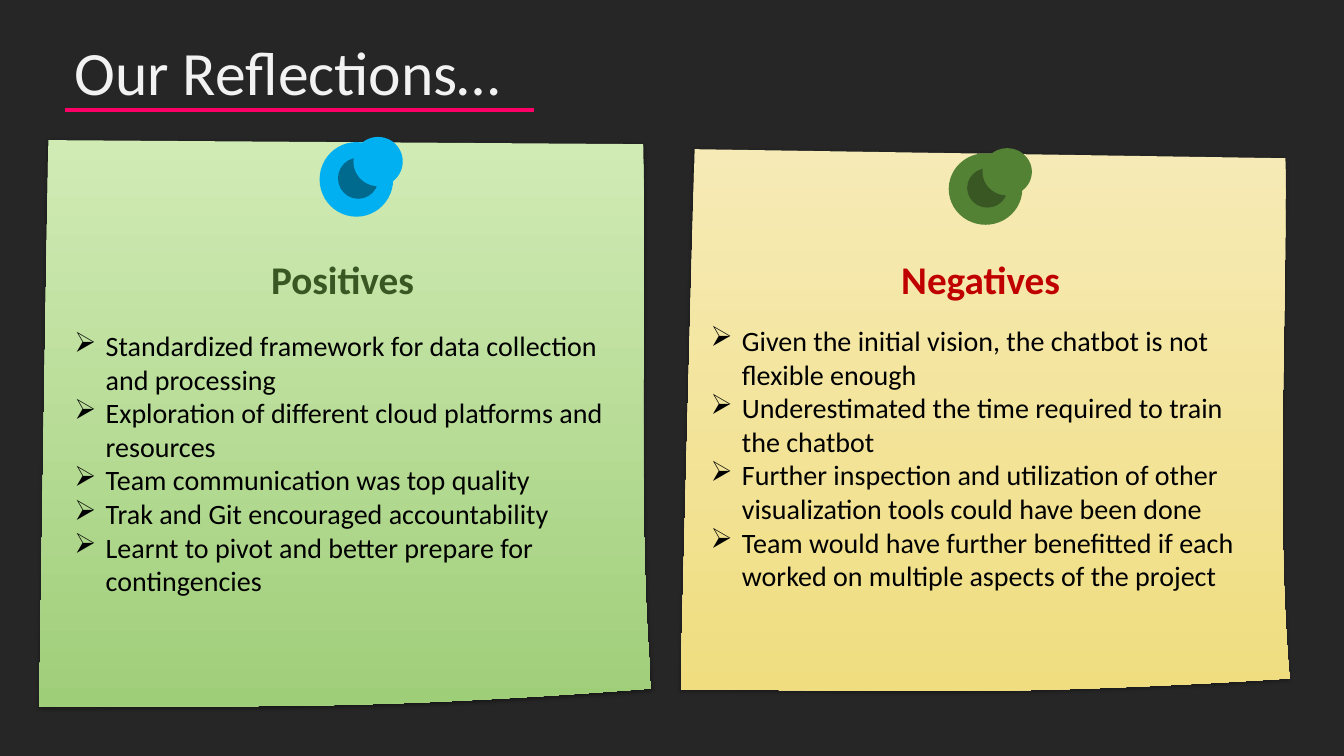
import pptx
import pptx.util
import pptx.dml.color
import pptx.enum.shapes
from lxml import etree
from pptx.util import Inches, Pt

# Content
TITLE = ("Our Reflections…", (0.64, 0.29, 4.47, 0.84))
RULE = (0.64, 5.3, 1.09)  # from x, to x, y

# Each outline is a start point, then a line (one point) or a curve (three points)
NOTES = [
    dict(
        heading="Positives", heading_box=(2.59, 2.48, 1.69, 0.57), heading_color="green",
        list_box=(0.64, 3.21, 5.58, 2.79),
        items=["Standardized framework for data collection and processing",
               "Exploration of different cloud platforms and resources",
               "Team communication was top quality",
               "Trak and Git encouraged accountability",
               "Learnt to pivot and better prepare for contingencies"],
        start=(0.48, 1.39),
        edges=[[(6.38, 1.43)],
               [(6.41, 3.25), (6.32, 5.17), (6.46, 6.83)],
               [(3.45, 7.06), (2.41, 6.99), (0.39, 7.01)]],
        paper="green_paper", pin="blue_pin", pin_box=(3.17, 1.41, 0.73, 0.74)),
    dict(
        heading="Negatives", heading_box=(8.84, 2.48, 1.85, 0.57), heading_color="red",
        list_box=(6.95, 3.16, 5.58, 3.47),
        items=["Given the initial vision, the chatbot is not flexible enough",
               "Underestimated the time required to train the chatbot",
               "Further inspection and utilization of other visualization tools could have been done",
               "Team would have further benefitted if each worked on multiple aspects of the project"],
        start=(6.89, 1.48),
        edges=[[(12.75, 1.57)],
               [(12.76, 3.3), (12.65, 5.14), (12.79, 6.73)],
               [(9.79, 6.92), (8.76, 6.84), (6.75, 6.84)]],
        paper="yellow_paper", pin="green_pin", pin_box=(9.41, 1.52, 0.73, 0.71)),
]

# Pin discs as fractions of the pin box: left, top, width, height, shade
PIN_DISCS = [(0, 0, 1, 1, 0), (0.25, 0.21, 0.55, 0.55, 1), (0.46, -0.07, 0.67, 0.66, 0)]

THEME = dict(
    font="Calibri", title_size=44, heading_size=28, list_size=20,
    background="262626", title="F2F2F2", rule="FF0066", text="000000",
    shadow="000000", green="385723", red="C00000",
    green_paper=("D1EBB5", "9FCE79"), yellow_paper=("F6EBB6", "F0DD80"),
    blue_pin=("00B0F0", "00698E"), green_pin=("548235", "385723"))

A = "http://schemas.openxmlformats.org/drawingml/2006/main"
CURVE_STEPS = 24


def rgb(value):
    return pptx.dml.color.RGBColor.from_string(value)


def sub(parent, tag, **attrs):
    return etree.SubElement(parent, f"{{{A}}}{tag}", **attrs)


def add_text(s, box, lines, size, color, bold=False, bullet=None):
    tf = s.shapes.add_textbox(*map(Inches, box)).text_frame
    tf.word_wrap = True
    for i, line in enumerate(lines):
        p = tf.paragraphs[0] if i == 0 else tf.add_paragraph()
        if bullet:
            pPr = p._p.get_or_add_pPr()
            pPr.set("marL", str(Inches(0.31)))
            pPr.set("indent", str(-Inches(0.31)))
            sub(pPr, "buChar", char=bullet)
        r = p.add_run()
        r.text = line
        r.font.name, r.font.size, r.font.bold = THEME["font"], Pt(size), bold
        r.font.color.rgb = rgb(color)


def outline_points(start, edges):
    points = [start]
    for edge in edges:
        if len(edge) == 1:
            points += edge
            continue
        a, (b, c, d) = points[-1], edge
        for k in range(1, CURVE_STEPS + 1):
            t = k / CURVE_STEPS
            u = 1 - t
            points.append(tuple(u**3 * a[j] + 3 * u * u * t * b[j] + 3 * u * t * t * c[j] + t**3 * d[j]
                                for j in (0, 1)))
    # Outline builders round to whole units, so work in EMU
    return [(Inches(x), Inches(y)) for x, y in points]


def add_paper(group, note):
    first, *rest = outline_points(note["start"], note["edges"])
    builder = group.shapes.build_freeform(*first)
    builder.add_line_segments(rest, close=True)
    sp = builder.convert_to_shape()
    sp.line.fill.background()
    sp.fill.gradient()
    sp.fill.gradient_angle = 270
    for stop, position, color in zip(sp.fill.gradient_stops, (0, 1), THEME[note["paper"]]):
        stop.position, stop.color.rgb = position, rgb(color)
    # Soft shadow below the paper
    sp.shadow.inherit = False
    effects = sp._element.spPr.find(f"{{{A}}}effectLst")
    shadow = sub(effects, "outerShdw", blurRad=str(Pt(3)), dist=str(Pt(1)), dir="5400000", rotWithShape="0")
    sub(sub(shadow, "srgbClr", val=THEME["shadow"]), "alpha", val="40000")


def add_pin(group, note):
    x, y, w, h = note["pin_box"]
    for dx, dy, dw, dh, shade in PIN_DISCS:
        sp = group.shapes.add_shape(
            pptx.enum.shapes.MSO_SHAPE.OVAL,
            Inches(x + dx * w), Inches(y + dy * h), Inches(dw * w), Inches(dh * h))
        sp.shadow.inherit = False
        sp.fill.solid()
        sp.fill.fore_color.rgb = rgb(THEME[note["pin"]][shade])
        sp.line.fill.background()


def main():
    prs = pptx.Presentation()
    prs.slide_width, prs.slide_height = Inches(13.33), Inches(7.5)
    s = prs.slides.add_slide(prs.slide_layouts[6])
    s.background.fill.solid()
    s.background.fill.fore_color.rgb = rgb(THEME["background"])

    # Pinned notes
    for note in NOTES:
        group = s.shapes.add_group_shape()
        add_paper(group, note)
        add_pin(group, note)

    # Title and its rule
    add_text(s, TITLE[1], [TITLE[0]], THEME["title_size"], THEME["title"])
    x1, x2, y = map(Inches, RULE)
    rule = s.shapes.add_connector(pptx.enum.shapes.MSO_CONNECTOR.STRAIGHT, x1, y, x2, y)
    rule.line.color.rgb, rule.line.width = rgb(THEME["rule"]), Pt(3)
    sub(rule._element.spPr, "effectLst")

    # Headings and lists
    for note in NOTES:
        add_text(s, note["heading_box"], [note["heading"]], THEME["heading_size"],
                 THEME[note["heading_color"]], bold=True)
        add_text(s, note["list_box"], note["items"], THEME["list_size"], THEME["text"], bullet="➢")

    prs.save("out.pptx")


if __name__ == "__main__":
    main()
